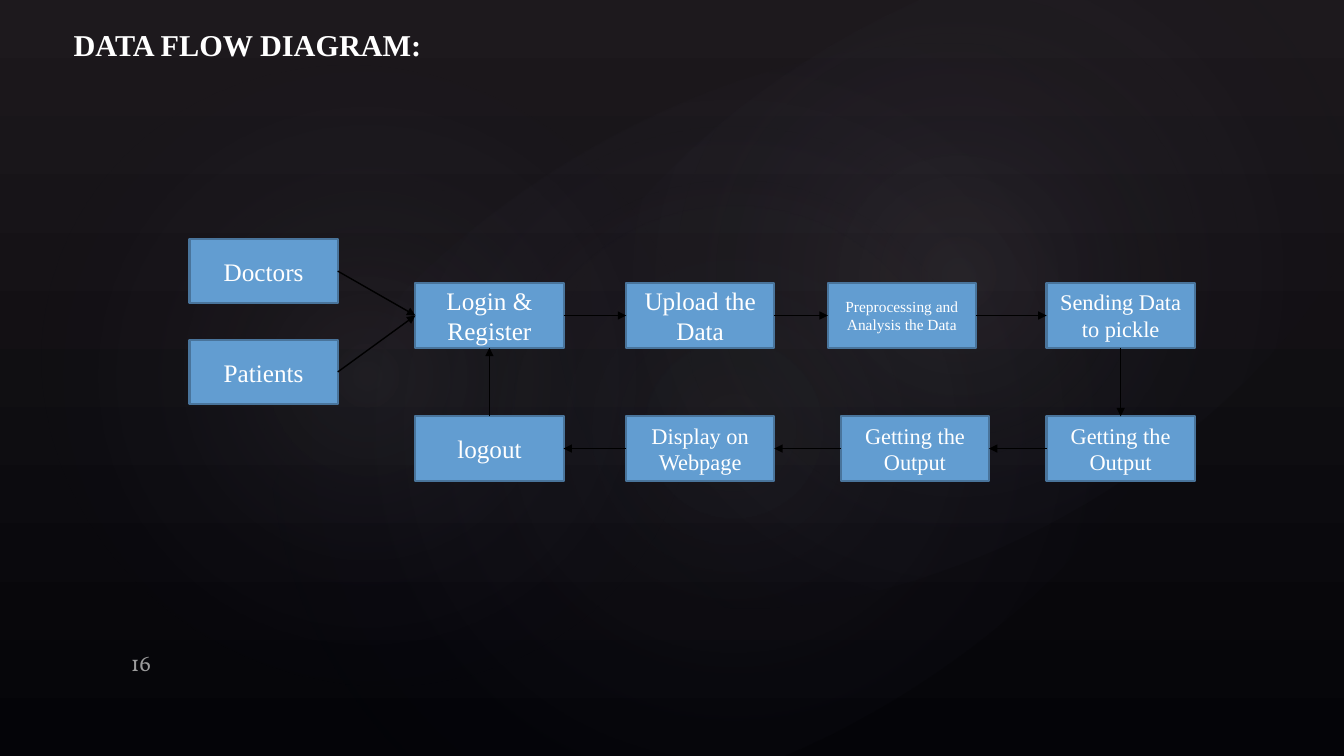
from lxml import etree
from pptx import Presentation
from pptx.dml.color import RGBColor
from pptx.enum.dml import MSO_THEME_COLOR
from pptx.enum.shapes import MSO_CONNECTOR, MSO_SHAPE
from pptx.enum.text import MSO_ANCHOR, PP_ALIGN
from pptx.oxml import parse_xml
from pptx.oxml.ns import nsdecls, qn
from pptx.util import Inches, Pt

RECTANGLE, OVAL = MSO_SHAPE.RECTANGLE, MSO_SHAPE.OVAL
STRAIGHT = MSO_CONNECTOR.STRAIGHT
TOP, MIDDLE, BOTTOM = MSO_ANCHOR.TOP, MSO_ANCHOR.MIDDLE, MSO_ANCHOR.BOTTOM
LEFT, CENTER = PP_ALIGN.LEFT, PP_ALIGN.CENTER
SIDE_TOP, SIDE_LEFT, SIDE_BOTTOM, SIDE_RIGHT = range(4)

THEME = {
    "sky": "1D191D", "ground": "040408", "glow": "C4BCC6", "glow_edge": "242852",
    "box": "629DD1", "border": "49749B", "arrow": "000000",
    "text": "FFFFFF", "number": "9B9B9C",
    "font": "Times New Roman", "number_font": "Vollkorn",
    "title_size": 21.6, "large": 18, "medium": 16, "small": 11,
}


def color(name):
    return RGBColor.from_string(THEME[name])


def write_text(shape, text, size, anchor, alignment, ink="text", font="font", bold=False):
    text_frame = shape.text_frame
    text_frame.word_wrap = True
    text_frame.vertical_anchor = anchor
    text_frame.text = text
    paragraph = text_frame.paragraphs[0]
    paragraph.alignment = alignment
    run_font = paragraph.runs[0].font
    run_font.name, run_font.size, run_font.bold = THEME[font], Pt(THEME[size]), bold
    run_font.color.rgb = color(ink)


presentation = Presentation()
presentation.slide_width, presentation.slide_height = Inches(13.33), Inches(7.5)
slide = presentation.slides.add_slide(presentation.slide_layouts[5])
shapes = slide.shapes

# Dark backdrop
backdrop = slide.background.fill
backdrop.gradient()
backdrop.gradient_angle = 270
for stop, name, position in zip(backdrop.gradient_stops, ("sky", "ground"), (0, 1)):
    stop.color.theme_color = MSO_THEME_COLOR.DARK_1
    stop.color.rgb = color(name)
    stop.position = position

# Title
title = shapes.title
title.left, title.top, title.width, title.height = map(Inches, (0.63, 0.23, 4.7, 1.15))
write_text(title, "DATA FLOW DIAGRAM:", "title_size", TOP, LEFT, bold=True)
title.text_frame.margin_top = Inches(0.03)

# Soft glows behind everything: left, top, width, height, rotation, opacity in percent
glows = [
    (2, 1.14, 10.56, 6.24, 328.7, 7),
    (0.61, 0.46, 6.06, 6.53, 294.3, 8),
    (4.78, 0.13, 9.45, 5.2, 328.7, 8),
]
for *frame, rotation, opacity in glows:
    glow = shapes.add_shape(OVAL, *map(Inches, frame))
    glow.rotation = rotation
    glow.shadow.inherit = False
    glow.line.fill.background()
    glow.element.spPr.find(qn("a:prstGeom")).addnext(parse_xml(
        f'<a:gradFill {nsdecls("a")}><a:gsLst>'
        f'<a:gs pos="0"><a:srgbClr val="{THEME["glow"]}"><a:alpha val="{opacity * 1000}"/></a:srgbClr></a:gs>'
        f'<a:gs pos="58000"><a:srgbClr val="{THEME["glow_edge"]}"><a:alpha val="0"/></a:srgbClr></a:gs>'
        '</a:gsLst><a:path path="circle"><a:fillToRect l="50000" t="50000" r="50000" b="50000"/></a:path>'
        '</a:gradFill>'))
    title.element.addprevious(glow.element)

# Slide number
number = shapes.add_textbox(*map(Inches, (1.2, 6.39, 3.11, 0.33)))
write_text(number, "16", "medium", BOTTOM, LEFT, "number", "number_font")
number.text_frame.margin_bottom = Inches(0.01)

# Steps of the flow: column, row, label, text size
BOX_WIDTH, BOX_HEIGHT = 1.47, 0.64
columns = {"user": 1.88, "access": 4.12, "data": 6.21, "analysis": 8.21, "output": 8.34, "model": 10.38}
rows = {"doctors": 2.37, "patients": 3.37, "forward": 2.81, "back": 4.13}
steps = {
    "login": ("access", "forward", "Login & Register", "large"),
    "doctors": ("user", "doctors", "Doctors", "large"),
    "patients": ("user", "patients", "Patients", "large"),
    "upload": ("data", "forward", "Upload the Data", "large"),
    "analysis": ("analysis", "forward", "Preprocessing and Analysis the Data", "small"),
    "pickle": ("model", "forward", "Sending Data to pickle", "medium"),
    "result": ("model", "back", "Getting the Output", "medium"),
    "output": ("output", "back", "Getting the Output", "medium"),
    "display": ("data", "back", "Display on Webpage", "medium"),
    "logout": ("access", "back", "logout", "large"),
}
boxes = {}
for step, (column, row, label, size) in steps.items():
    box = shapes.add_shape(RECTANGLE, Inches(columns[column]), Inches(rows[row]),
                           Inches(BOX_WIDTH), Inches(BOX_HEIGHT))
    box.shadow.inherit = False
    box.fill.solid()
    box.fill.fore_color.rgb = color("box")
    box.line.color.rgb = color("border")
    box.line.width = Pt(1.5)
    write_text(box, label, size, MIDDLE, CENTER)
    boxes[step] = box

# Arrows from step to step
flows = [
    ("doctors", SIDE_RIGHT, "login", SIDE_LEFT),
    ("patients", SIDE_RIGHT, "login", SIDE_LEFT),
    ("login", SIDE_RIGHT, "upload", SIDE_LEFT),
    ("upload", SIDE_RIGHT, "analysis", SIDE_LEFT),
    ("analysis", SIDE_RIGHT, "pickle", SIDE_LEFT),
    ("pickle", SIDE_BOTTOM, "result", SIDE_TOP),
    ("result", SIDE_LEFT, "output", SIDE_RIGHT),
    ("output", SIDE_LEFT, "display", SIDE_RIGHT),
    ("display", SIDE_LEFT, "logout", SIDE_RIGHT),
    ("logout", SIDE_TOP, "login", SIDE_BOTTOM),
]
for source, source_side, target, target_side in flows:
    arrow = shapes.add_connector(STRAIGHT, 0, 0, 0, 0)
    arrow.begin_connect(boxes[source], source_side)
    arrow.end_connect(boxes[target], target_side)
    arrow.line.color.rgb = color("arrow")
    arrow.line.width = Pt(1)
    etree.SubElement(arrow.line._get_or_add_ln(), qn("a:tailEnd"), type="triangle")
    etree.SubElement(arrow.element.spPr, qn("a:effectLst"))

presentation.save("out.pptx")
